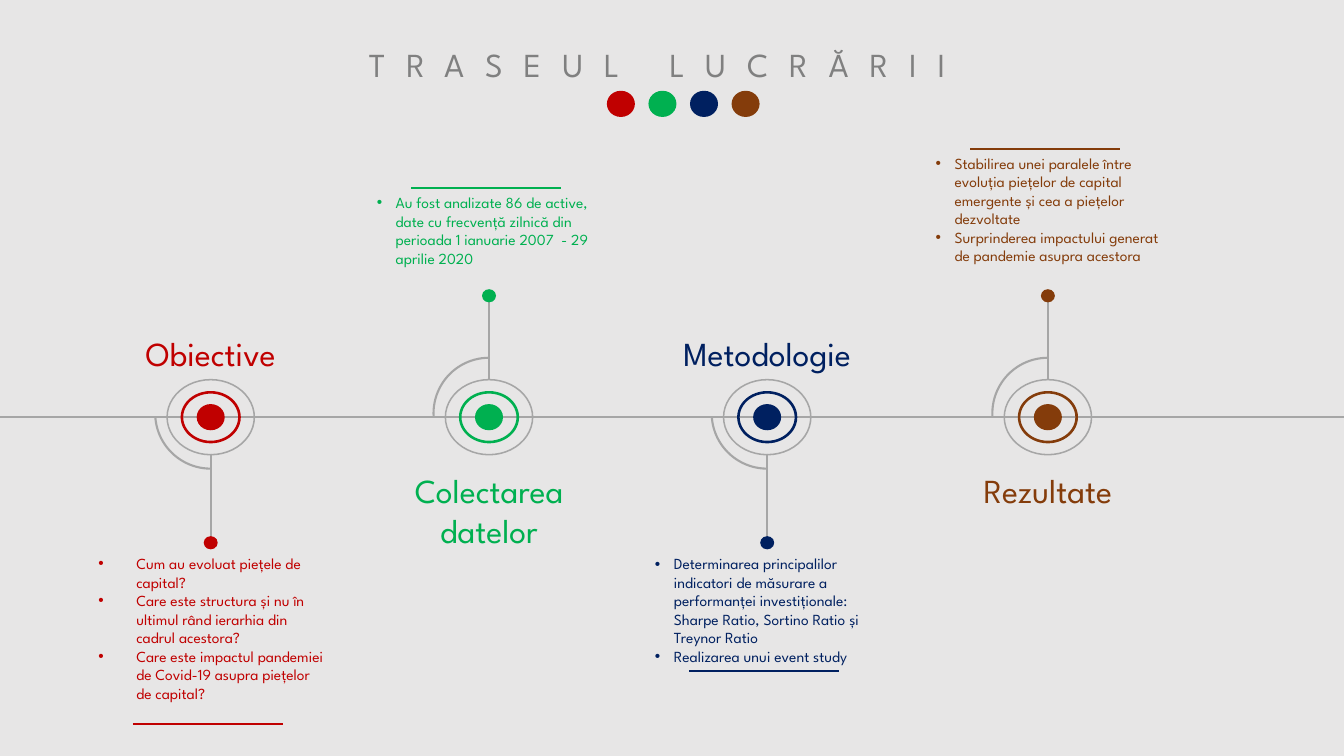
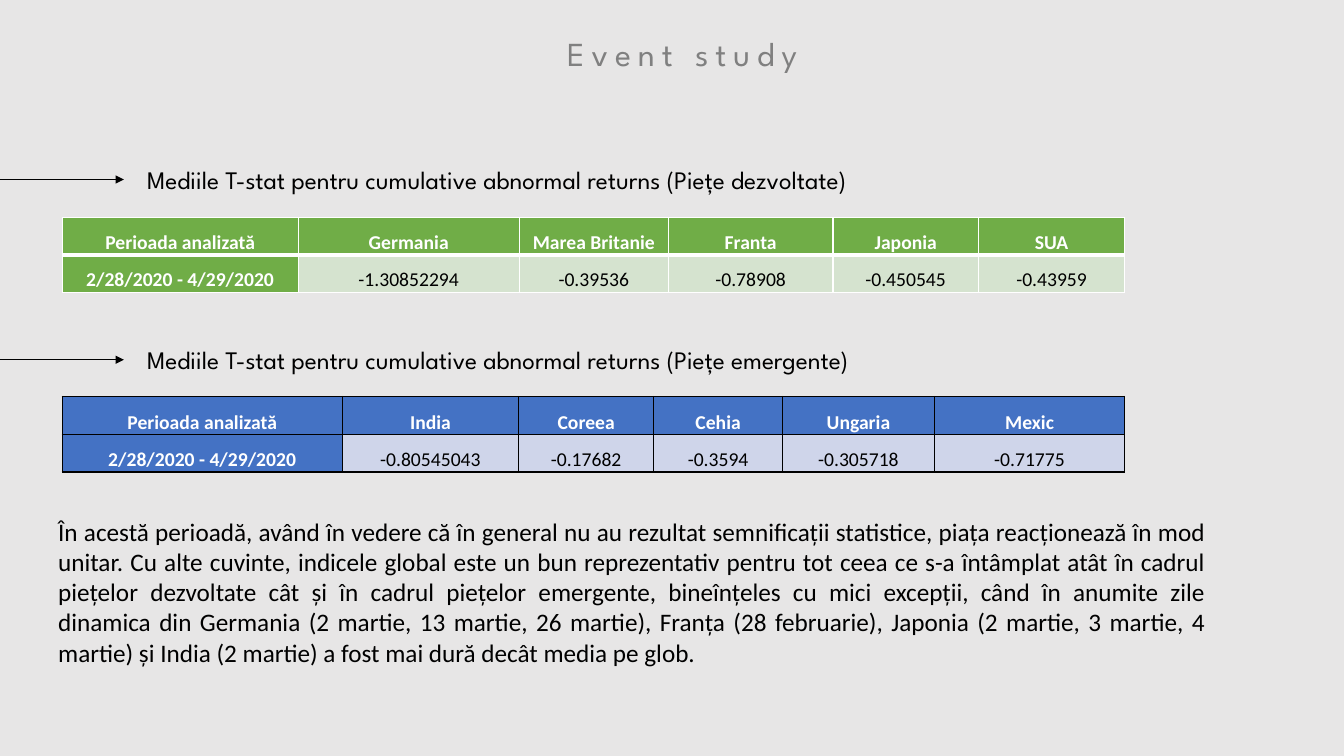
from dataclasses import dataclass

from lxml.etree import SubElement
from pptx import Presentation
from pptx.dml.color import RGBColor
from pptx.enum.shapes import MSO_CONNECTOR, MSO_SHAPE
from pptx.enum.text import MSO_ANCHOR, MSO_AUTO_SIZE, PP_ALIGN
from pptx.oxml.ns import qn
from pptx.util import Pt

SPARTAN, CALIBRI = "League Spartan", "Calibri"
BACK, TITLE, GREY = "E7E6E6", "808080", "A6A6A6"
BLACK, WHITE = "000000", "FFFFFF"
RED, GREEN, NAVY, BROWN = "C00000", "00B050", "002060", "843C0B"
WIDTH, HEIGHT = 960, 540
AXIS_Y = 298


@dataclass(frozen=True)
class Step:
    name: str
    color: str
    x: float
    down: bool
    name_h: float
    points: tuple[str, ...]
    top: float
    height: float
    rule_y: float
    indent: float = 13.5


@dataclass(frozen=True)
class Market:
    caption: str
    caption_y: float
    table_y: float
    row_h: float
    widths: tuple[float, ...]
    heads: tuple[str, ...]
    values: tuple[str, ...]
    dark: str
    light: str
    border: str
    divider: float


STEPS = (
    Step("Obiective", RED, 150.5, True, 36, (
        "Cum au evoluat piețele de capital?",
        "Care este structura și nu în ultimul rând ierarhia din cadrul acestora?",
        "Care este impactul pandemiei de Covid-19 asupra piețelor de capital?",
    ), 392.5, 127.5, 517, 27),
    Step("Colectarea datelor", GREEN, 349.3, False, 65.5, (
        "Au fost analizate 86 de active, date cu frecvență zilnică din "
        "perioada 1 ianuarie 2007  - 29 aprilie 2020",
    ), 134.5, 74, 134.5),
    Step("Metodologie", NAVY, 548, True, 36, (
        "Determinarea principalilor indicatori de măsurare a performanței "
        "investiționale: Sharpe Ratio, Sortino Ratio și Treynor Ratio",
        "Realizarea unui event study",
    ), 392.5, 87, 479.5),
    Step("Rezultate", BROWN, 748.5, False, 36, (
        "Stabilirea unei paralele între evoluția piețelor de capital "
        "emergente și cea a piețelor dezvoltate",
        "Surprinderea impactului generat de pandemie asupra acestora",
    ), 106.5, 101, 106.5),
)

PERIOD = ("Perioada analizată", "2/28/2020 - 4/29/2020")
MARKETS = (
    Market("Mediile T-stat pentru cumulative abnormal returns (Piețe dezvoltate)",
           113.8, 155.5, 26.6, (168.5, 158, 106.5, 117.5, 104, 104.5),
           ("Germania", "Marea Britanie", "Franta", "Japonia", "SUA"),
           ("-1.30852294", "-0.39536", "-0.78908", "-0.450545", "-0.43959"),
           "70AD47", "D5E3CF", WHITE, 3),
    Market("Mediile T-stat pentru cumulative abnormal returns (Piețe emergente)",
           242.6, 283.2, 27, (200, 126, 96.5, 92, 108.5, 136),
           ("India", "Coreea", "Cehia", "Ungaria", "Mexic"),
           ("-0.80545043", "-0.17682", "-0.3594", "-0.305718", "-0.71775"),
           "4472C4", "CFD5EA", BLACK, 1),
)
CONCLUSION = (
    "În acestă perioadă, având în vedere că în general nu au rezultat semnificații "
    "statistice, piața reacționează în mod unitar. Cu alte cuvinte, indicele global "
    "este un bun reprezentativ pentru tot ceea ce s-a întâmplat atât în cadrul "
    "piețelor dezvoltate cât și în cadrul piețelor emergente, bineînțeles cu mici "
    "excepții, când în anumite zile dinamica din Germania (2 martie, 13 martie, "
    "26 martie), Franța (28 februarie), Japonia (2 martie, 3 martie, 4 martie) și "
    "India (2 martie) a fost mai dură decât media pe glob."
)


def rgb(color: str) -> RGBColor:
    return RGBColor.from_string(color)


def style(p, size: float, color: str, font: str = SPARTAN,
          bold: bool = False, align=PP_ALIGN.LEFT) -> None:
    p.alignment = align
    for r in p.runs:
        r.font.size, r.font.name, r.font.bold = Pt(size), font, bold
        r.font.color.rgb = rgb(color)


def add_text(s, x: float, y: float, w: float, h: float, lines: tuple[str, ...],
             size: float, color: str, font: str = SPARTAN,
             align=PP_ALIGN.LEFT, indent: float = 0) -> None:
    tf = s.shapes.add_textbox(Pt(x), Pt(y), Pt(w), Pt(h)).text_frame
    tf.word_wrap = True
    tf.auto_size = MSO_AUTO_SIZE.SHAPE_TO_FIT_TEXT
    tf.text = "\n".join(lines)
    for p in tf.paragraphs:
        style(p, size, color, font, align=align)
        if indent:
            pPr = p._p.get_or_add_pPr()
            pPr.set("marL", str(Pt(indent)))
            pPr.set("indent", str(-Pt(indent)))
            SubElement(pPr, qn("a:buFont"), typeface="Arial")
            SubElement(pPr, qn("a:buChar"), char="•")


def add_line(s, x1: float, y1: float, x2: float, y2: float, color: str,
             width: float = 1.5, arrow: bool = False) -> None:
    line = s.shapes.add_connector(MSO_CONNECTOR.STRAIGHT, Pt(x1), Pt(y1), Pt(x2), Pt(y2))
    line.line.color.rgb = rgb(color)
    line.line.width = Pt(width)
    if arrow:
        SubElement(line.line._get_or_add_ln(), qn("a:tailEnd"), type="triangle")
    SubElement(line._element.spPr, qn("a:effectLst"))


def add_round(shapes, cx: float, cy: float, w: float, h: float, color: str,
              ring: float = 0) -> None:
    kind = MSO_SHAPE.DONUT if ring else MSO_SHAPE.OVAL
    sp = shapes.add_shape(kind, Pt(cx - w / 2), Pt(cy - h / 2), Pt(w), Pt(h))
    sp.shadow.inherit = False
    sp.fill.solid()
    sp.fill.fore_color.rgb = rgb(color)
    sp.line.fill.background()
    if ring:
        sp.adjustments[0] = ring


def add_arc(s, cx: float, cy: float, size: float, start: float, end: float) -> None:
    sp = s.shapes.add_shape(MSO_SHAPE.ARC, Pt(cx - size / 2), Pt(cy - size / 2),
                            Pt(size), Pt(size))
    sp.shadow.inherit = False
    sp.fill.background()
    sp.line.color.rgb = rgb(GREY)
    sp.line.width = Pt(1.5)
    for i, degrees in enumerate((start, end)):
        sp.adjustments[i] = degrees * 0.6


def add_slide(prs, title: str, x: float, y: float, w: float, spacing: float):
    s = prs.slides.add_slide(prs.slide_layouts[5])
    sp = s.shapes.title
    sp.left, sp.top, sp.width, sp.height = Pt(x), Pt(y), Pt(w), Pt(36)
    tf = sp.text_frame
    tf.text = title
    tf.word_wrap = True
    tf.auto_size = MSO_AUTO_SIZE.NONE
    tf.vertical_anchor = MSO_ANCHOR.TOP
    p = tf.paragraphs[0]
    style(p, 24, TITLE, align=PP_ALIGN.CENTER)
    p.runs[0].font._element.set("spc", str(round(spacing * 100)))
    return s


def add_step(s, step: Step) -> None:
    x, color = step.x, step.color
    if step.down:
        arc, stem, dot_y, name_y = (90.5, 176), (324, 384), 387.7, 234
    else:
        arc, stem, dot_y, name_y = (177.3, 270.3), (212.5, 271.5), 211.3, 332
    add_arc(s, x, 295.2, 79.2, *arc)
    add_round(s.shapes, x, AXIS_Y, 20, 18.7, color)
    add_round(s.shapes, x, AXIS_Y, 43, 37.4, color, 0.05)
    add_round(s.shapes, x, AXIS_Y, 63.4, 54.7, GREY, 0.02)
    add_line(s, x, stem[0], x, stem[1], GREY)
    add_round(s.shapes, x, dot_y, 10, 9.4, color)
    add_text(s, x - 87.5, name_y, 175, step.name_h, (step.name,), 24, color,
             align=PP_ALIGN.CENTER)
    add_text(s, x - 87.2, step.top, 175, step.height, step.points, 11, color,
             indent=step.indent)
    add_line(s, x - 55.5, step.rule_y, x + 51.5, step.rule_y, color)


def set_borders(cell, color: str, top: float, bottom: float) -> None:
    tcPr = cell._tc.get_or_add_tcPr()
    for side, width in (("L", 1), ("R", 1), ("T", top), ("B", bottom)):
        ln = SubElement(tcPr, qn(f"a:ln{side}"), w=str(Pt(width)))
        SubElement(SubElement(ln, qn("a:solidFill")), qn("a:srgbClr"), val=color)


def add_market(s, market: Market) -> None:
    y = market.caption_y
    add_line(s, 0, y + 14.4, 88.5, y + 14.4, BLACK, 0.5, arrow=True)
    add_text(s, 98, y, 626, 29, (market.caption,), 18, BLACK)
    rows = ((PERIOD[0], *market.heads), (PERIOD[1], *market.values))
    table = s.shapes.add_table(len(rows), len(market.widths), Pt(44.5), Pt(market.table_y),
                               Pt(sum(market.widths)), Pt(market.row_h * len(rows))).table
    for col, width in zip(table.columns, market.widths):
        col.width = Pt(width)
    for i, row in enumerate(rows):
        table.rows[i].height = Pt(market.row_h)
        for j, value in enumerate(row):
            cell = table.cell(i, j)
            head = i == 0 or j == 0
            set_borders(cell, market.border, market.divider if i else 1,
                        1 if i else market.divider)
            cell.fill.solid()
            cell.fill.fore_color.rgb = rgb(market.dark if head else market.light)
            cell.margin_left = cell.margin_right = Pt(5)
            cell.margin_top = cell.margin_bottom = 0
            cell.vertical_anchor = MSO_ANCHOR.BOTTOM
            p = cell.text_frame.paragraphs[0]
            p.text = value
            p.line_spacing = 1.5
            style(p, 14, WHITE if head else BLACK, CALIBRI, head, PP_ALIGN.CENTER)


def add_route(prs) -> None:
    s = add_slide(prs, "TRASEUL LUCRĂRII", 95, 28, 749, 15)
    add_line(s, 0, AXIS_Y, WIDTH, AXIS_Y, GREY)
    for step in STEPS:
        add_step(s, step)
    legend = s.shapes.add_group_shape()
    for i, step in enumerate(STEPS):
        add_round(legend.shapes, 443.5 + 29.7 * i, 74.2, 20, 18.7, step.color)


def add_event_study(prs) -> None:
    s = add_slide(prs, "Event study", 96, 20, 782.5, 5)
    for market in MARKETS:
        add_market(s, market)
    add_text(s, 34.5, 365, 834, 116.5, (CONCLUSION,), 18, BLACK, CALIBRI, PP_ALIGN.JUSTIFY)


def main() -> None:
    prs = Presentation()
    prs.slide_width, prs.slide_height = Pt(WIDTH), Pt(HEIGHT)
    fill = prs.slide_master.background.fill
    fill.solid()
    fill.fore_color.rgb = rgb(BACK)
    add_route(prs)
    add_event_study(prs)
    prs.save("out.pptx")


if __name__ == "__main__":
    main()
